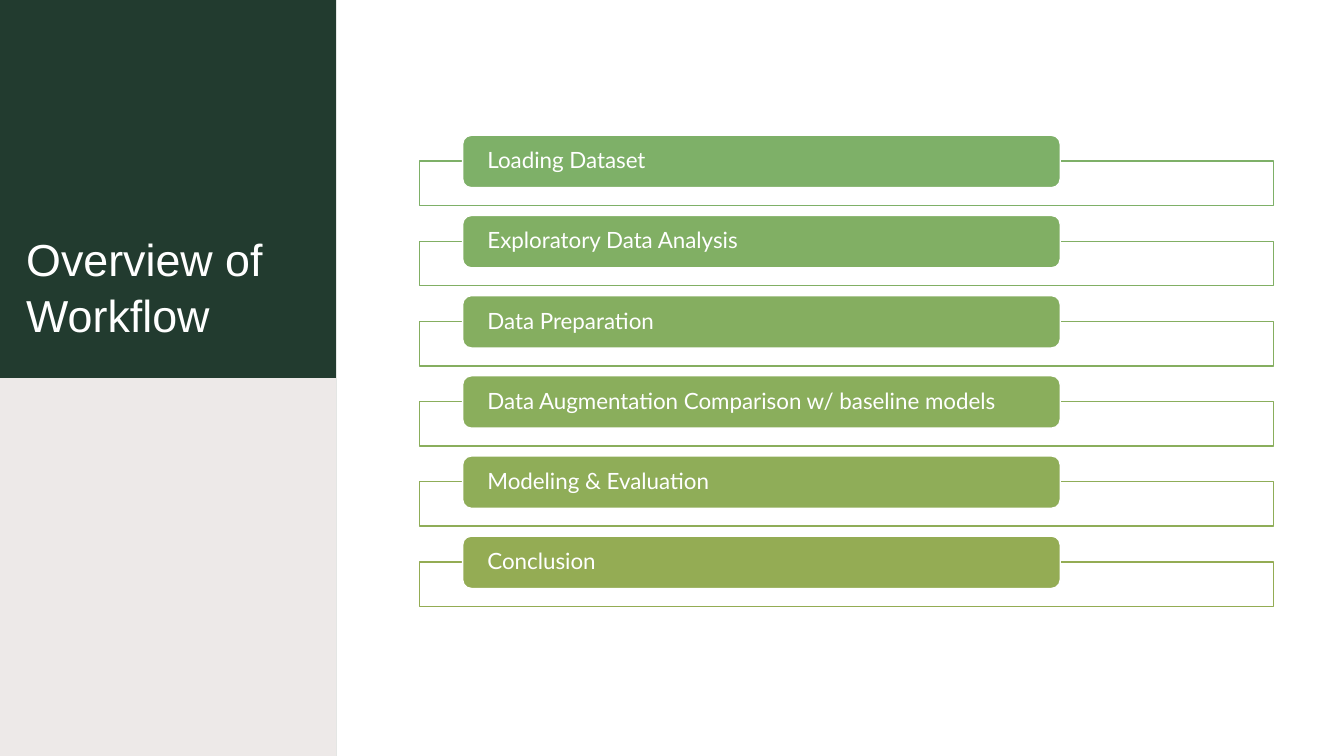
"""Build the workflow overview slide."""
from dataclasses import dataclass

from pptx import Presentation
from pptx import util as u
from pptx.dml.color import RGBColor
from pptx.enum import shapes, text

WHITE = RGBColor(0xFF, 0xFF, 0xFF)
GREEN = RGBColor(0x22, 0x3B, 0x2F)
SAND = RGBColor(0xED, 0xE9, 0xE8)

RECT = shapes.MSO_SHAPE.RECTANGLE
ROUND = shapes.MSO_SHAPE.ROUNDED_RECTANGLE

TOP = 4.06
PITCH = 2.02
RISE = 0.65


@dataclass
class Box:
    left: float
    top: float
    width: float
    height: float

    def spans(self) -> list:
        return [u.Cm(n) for n in (self.left, self.top, self.width, self.height)]


@dataclass
class Step:
    label: str
    color: RGBColor


STEPS = [
    Step("Loading Dataset", RGBColor(0x7E, 0xB0, 0x68)),
    Step("Exploratory Data Analysis", RGBColor(0x81, 0xAF, 0x64)),
    Step("Data Preparation", RGBColor(0x85, 0xAE, 0x60)),
    Step("Data Augmentation Comparison w/ baseline models",
         RGBColor(0x8A, 0xAE, 0x5C)),
    Step("Modeling & Evaluation", RGBColor(0x8F, 0xAD, 0x58)),
    Step("Conclusion", RGBColor(0x94, 0xAC, 0x54)),
]

TITLE = {
    "frame": {"word_wrap": True, "vertical_anchor": text.MSO_ANCHOR.BOTTOM},
    "para": {"alignment": text.PP_ALIGN.LEFT, "line_spacing": 1.05},
    "font": {"name": "Arial", "size": u.Pt(32)},
}
LABEL = {
    "frame": {
        "word_wrap": True,
        "vertical_anchor": text.MSO_ANCHOR.MIDDLE,
        "margin_left": u.Cm(0.56),
        "margin_right": u.Cm(0.56),
        "margin_top": 0,
        "margin_bottom": 0,
    },
    "para": {"alignment": text.PP_ALIGN.LEFT, "line_spacing": 0.9},
    "font": {"name": "Lato", "size": u.Pt(16)},
}


def block(slide, kind, box: Box, fill: RGBColor, line: RGBColor | None = None):
    shape = slide.shapes.add_shape(kind, *box.spans())
    shape.shadow.inherit = False
    shape.fill.solid()
    shape.fill.fore_color.rgb = fill
    if line is None:
        shape.line.fill.background()
    else:
        shape.line.color.rgb = line
        shape.line.width = u.Pt(1)
    return shape


def write(shape, words: str, style: dict) -> None:
    frame = shape.text_frame
    para = frame.paragraphs[0]
    run = para.add_run()
    run.text = words
    parts = {"frame": frame, "para": para, "font": run.font}
    for part, values in style.items():
        for key, value in values.items():
            setattr(parts[part], key, value)
    run.font.color.rgb = WHITE


def draw(slide, step: Step, top: float) -> None:
    block(slide, RECT, Box(10.58, top, 21.51, 1.12), WHITE, step.color)
    pill = block(slide, ROUND, Box(11.66, top - RISE, 15.06, 1.32),
                 step.color, WHITE)
    write(pill, step.label, LABEL)


def main() -> None:
    deck = Presentation()
    deck.slide_width, deck.slide_height = u.Cm(33.87), u.Cm(19.05)
    slide = deck.slides.add_slide(deck.slide_layouts[6])
    block(slide, RECT, Box(0, 0, 8.47, 19.05), GREEN)
    block(slide, RECT, Box(0, 9.53, 8.47, 9.52), SAND)
    title = slide.shapes.add_textbox(*Box(0.41, 1.02, 7.47, 7.72).spans())
    write(title, "Overview of Workflow", TITLE)
    for row, step in enumerate(STEPS):
        draw(slide, step, TOP + row * PITCH)
    deck.save("out.pptx")


if __name__ == "__main__":
    main()
